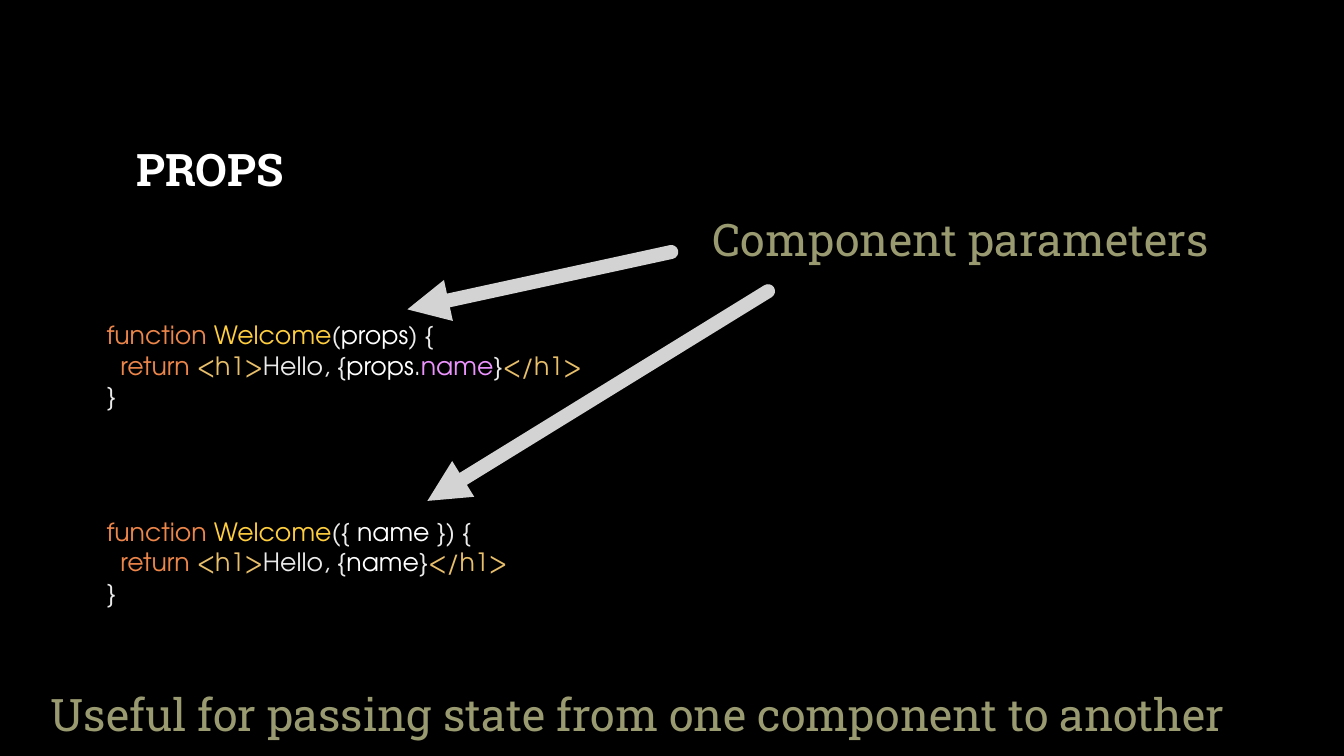
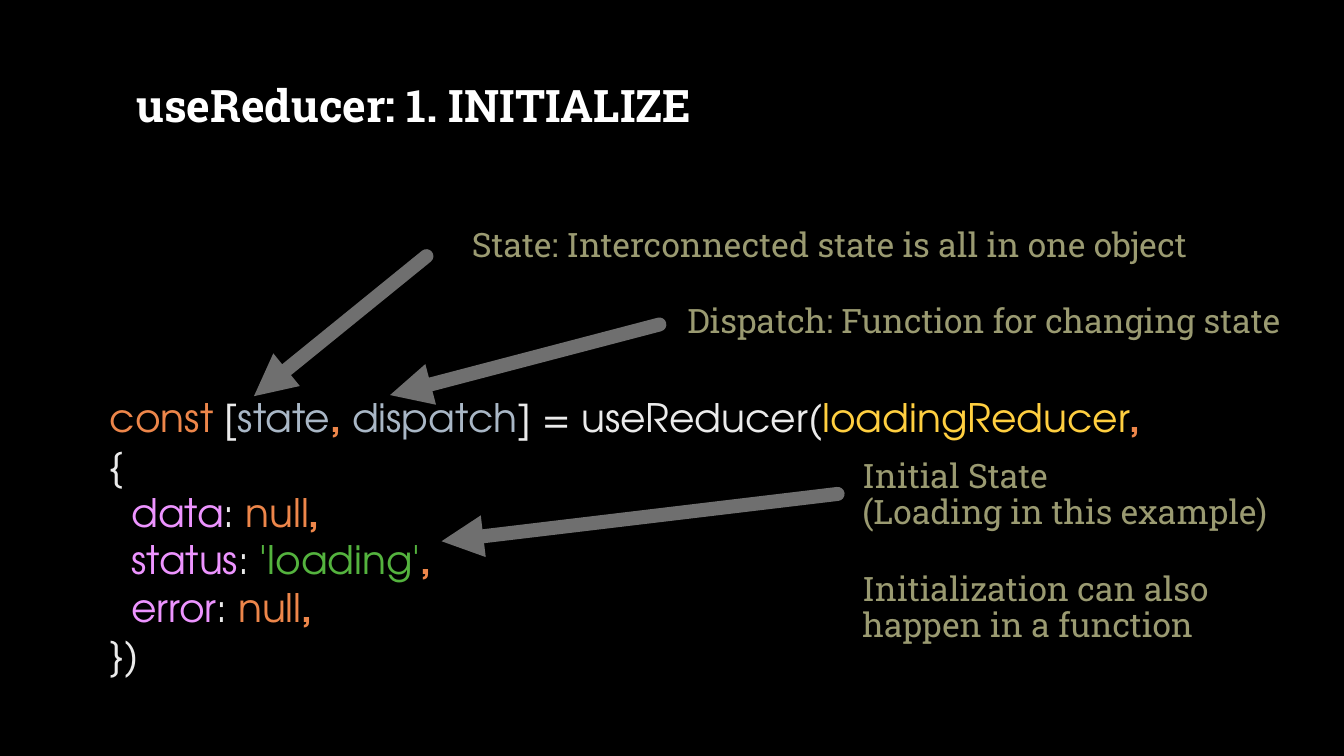
from dataclasses import dataclass
from typing import NamedTuple

from lxml.etree import SubElement
from pptx import Presentation
from pptx.dml.color import RGBColor
from pptx.enum.shapes import MSO_CONNECTOR as Link
from pptx.enum.text import MSO_ANCHOR as Anchor, MSO_AUTO_SIZE as Auto, PP_ALIGN as Align
from pptx.oxml.ns import qn
from pptx.util import Pt

SLAB = "Roboto Slab"
MONO = "TeX Gyre Adventor"
BLACK, WHITE, GREY = "000000", "FFFFFF", "A6A6A6"
OLIVE, LIGHT, DARK = "9A9A71", "D3D3D3", "6F6F6F"
TIGHT = 0.9
LEAD = 1.21


class Tone(NamedTuple):
    color: str
    bold: bool = False


KEY = Tone("ED864A")
COMMA = Tone("ED864A", True)
FUNC = Tone("FFCF40")
PLAIN = Tone("EBEBEB")
PARAM = Tone(WHITE)
TAG = Tone("E8BF6A")
PROP = Tone("ED94FF")
NAME = Tone("A9B7C6")
QUOTE = Tone("54B33E")


class Tok(NamedTuple):
    tone: Tone
    text: str


class Box(NamedTuple):
    left: float
    top: float
    width: float
    height: float


@dataclass
class Code:
    box: Box
    size: float
    lines: list[list[Tok]]


@dataclass
class Note:
    box: Box
    size: float
    text: str
    wrap: bool = True
    gaps: tuple[int, ...] = ()


class Arrow(NamedTuple):
    x1: float
    y1: float
    x2: float
    y2: float


@dataclass
class Page:
    title: str
    place: Box
    codes: list[Code]
    notes: list[Note]
    arrows: list[Arrow]
    shade: str


def rgb(code: str) -> RGBColor:
    return RGBColor.from_string(code)


def add_title(slide, text: str, box: Box) -> None:
    title = slide.shapes.title
    title.left, title.top, title.width, title.height = map(Pt, box)
    frame = title.text_frame
    frame.text = text
    frame.auto_size = Auto.NONE
    frame.vertical_anchor = Anchor.MIDDLE
    para = frame.paragraphs[0]
    para.alignment = Align.LEFT
    para.line_spacing = TIGHT
    font = para.runs[0].font
    font.name, font.size, font.bold = SLAB, Pt(32), True
    font.fill.gradient()
    font.fill.gradient_angle = 267
    for stop, color, spot in zip(font.fill.gradient_stops, (WHITE, GREY), (0, 1)):
        stop.color.rgb = rgb(color)
        stop.position = spot


def add_frame(slide, box: Box, wrap: bool = True):
    frame = slide.shapes.add_textbox(*map(Pt, box)).text_frame
    frame.word_wrap = wrap
    frame.auto_size = Auto.SHAPE_TO_FIT_TEXT
    return frame


def add_code(slide, code: Code) -> None:
    frame = add_frame(slide, code.box)
    for i, line in enumerate(code.lines):
        para = frame.add_paragraph() if i else frame.paragraphs[0]
        para.line_spacing = Pt(round(code.size * LEAD, 1))
        for tok in line:
            run = para.add_run()
            run.text = tok.text
            font = run.font
            font.name, font.size, font.bold = MONO, Pt(code.size), tok.tone.bold
            font.color.rgb = rgb(tok.tone.color)


def add_note(slide, note: Note) -> None:
    frame = add_frame(slide, note.box, note.wrap)
    frame.text = note.text
    for i, para in enumerate(frame.paragraphs):
        para.line_spacing = TIGHT
        if i in note.gaps:
            para.space_before = Pt(28.5)
        font = para.runs[0].font
        font.name, font.size = SLAB, Pt(note.size)
        font.color.rgb = rgb(OLIVE)


def add_arrow(slide, arrow: Arrow, color: str) -> None:
    link = slide.shapes.add_connector(Link.STRAIGHT, *map(Pt, arrow))
    link.line.width = Pt(10)
    link.line.color.rgb = rgb(color)
    props = link._element.spPr
    edge = props.find(qn("a:ln"))
    edge.set("cap", "rnd")
    SubElement(edge, qn("a:tailEnd"), type="triangle")
    SubElement(props, qn("a:effectLst"))


def welcome(params: list[Tok], value: list[Tok]) -> list[list[Tok]]:
    return [
        [Tok(KEY, "function "), Tok(FUNC, "Welcome"), *params],
        [Tok(PLAIN, "  "), Tok(KEY, "return "), Tok(TAG, "<h1>"),
         Tok(PLAIN, "Hello, {"), *value, Tok(PLAIN, "}"), Tok(TAG, "</h1>")],
        [Tok(PLAIN, "}")],
    ]


def field(name: str, tone: Tone, value: str) -> list[Tok]:
    return [Tok(PLAIN, "  "), Tok(PROP, name), Tok(PLAIN, ": "),
            Tok(tone, value), Tok(COMMA, ",")]


PROPS = Page(
    "PROPS",
    Box(90, 48, 780, 150),
    [
        Code(Box(69, 224.6, 480, 73), 18, welcome(
            [Tok(PLAIN, "("), Tok(PARAM, "props"), Tok(PLAIN, ") {")],
            [Tok(PARAM, "props"), Tok(PLAIN, "."), Tok(PROP, "name")])),
        Code(Box(69, 365, 480, 73), 18, welcome(
            [Tok(PLAIN, "({ "), Tok(PARAM, "name "), Tok(PLAIN, "}) {")],
            [Tok(PARAM, "name")])),
    ],
    [
        Note(Box(502, 152, 425.5, 46), 32, "Component parameters"),
        Note(Box(29, 491, 903, 46), 32,
             "Useful for passing state from one component to another", False),
    ],
    [Arrow(479.5, 180, 291, 221), Arrow(548.6, 208, 305.3, 357.8)],
    LIGHT,
)

REDUCE = Page(
    "useReducer: 1. INITIALIZE",
    Box(90, 48, 780, 59),
    [Code(Box(71.3, 277.2, 764, 211), 28, [
        [Tok(KEY, "const "), Tok(PLAIN, "["), Tok(NAME, "state"), Tok(COMMA, ", "),
         Tok(NAME, "dispatch"), Tok(PLAIN, "] = useReducer("),
         Tok(FUNC, "loadingReducer"), Tok(COMMA, ", "), Tok(PLAIN, "{")],
        field("data", KEY, "null"),
        field("status", QUOTE, "'loading'"),
        field("error", KEY, "null"),
        [Tok(PLAIN, "})")],
    ])],
    [
        Note(Box(609, 324.7, 338.4, 152.6), 24,
             "Initial State\n(Loading in this example)\n"
             "Initialization can also happen in a function", gaps=(2,)),
        Note(Box(484, 213.8, 462, 36), 24, "Dispatch: Function for changing state", False),
        Note(Box(330, 160, 582, 36), 24,
             "State: Interconnected state is all in one object"),
    ],
    [Arrow(598.3, 352.8, 315.4, 386.6), Arrow(471, 231.8, 278.6, 282.2),
     Arrow(304.6, 183, 181.4, 283)],
    DARK,
)


def main() -> None:
    deck = Presentation()
    deck.slide_width, deck.slide_height = Pt(960), Pt(540)
    back = deck.slide_master.background.fill
    back.solid()
    back.fore_color.rgb = rgb(BLACK)
    for page in (PROPS, REDUCE):
        slide = deck.slides.add_slide(deck.slide_layouts[5])
        add_title(slide, page.title, page.place)
        for code in page.codes:
            add_code(slide, code)
        for note in page.notes:
            add_note(slide, note)
        for arrow in page.arrows:
            add_arrow(slide, arrow, page.shade)
    deck.save("out.pptx")


if __name__ == "__main__":
    main()
